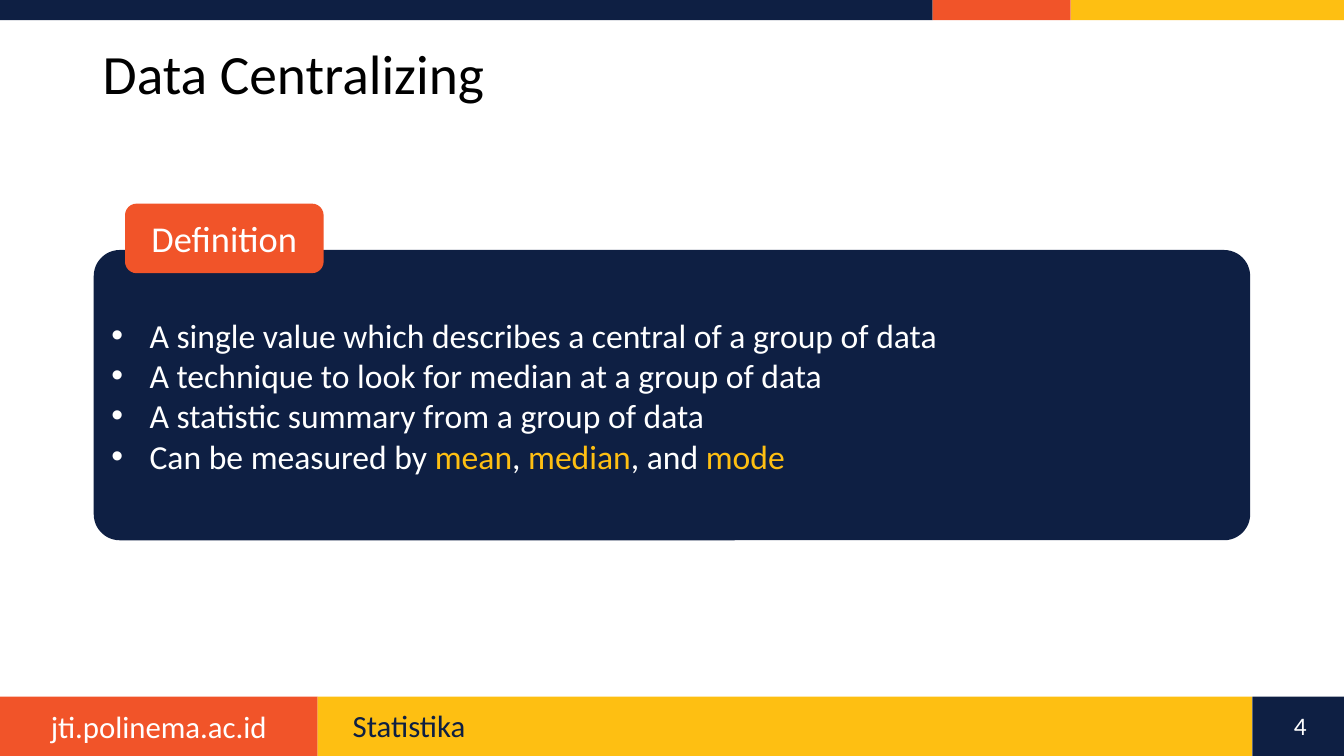
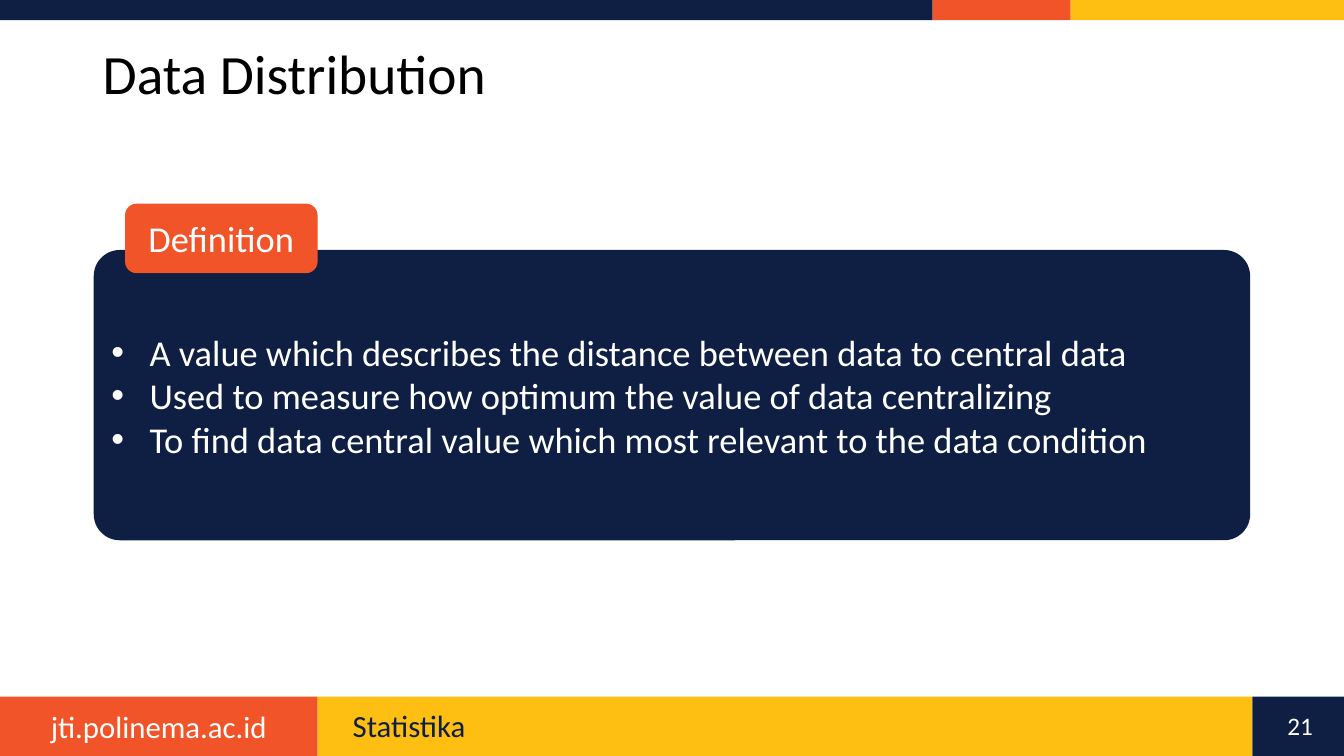
from pptx import Presentation
from pptx.dml.color import RGBColor
from pptx.enum.shapes import MSO_SHAPE
from pptx.enum.text import MSO_ANCHOR, PP_ALIGN
from pptx.oxml.ns import qn
from pptx.util import Inches, Pt
from lxml import etree

# Content: runs are (text, colour) pairs
SLIDES = [
    {
        "title": "Data Centralizing",
        "number": "4",
        "label": "Definition",
        "label_width": 1.97,
        "size": 24,
        "bullets": [
            [("A single value which describes a central of a group of data", "white")],
            [("A technique to look for median at a group of data", "white")],
            [("A statistic summary from a group of data", "white")],
            [("Can be measured by ", "white"), ("mean", "yellow"), (", ", "white"),
             ("median", "yellow"), (", and ", "white"), ("mode", "yellow")],
        ],
    },
    {
        "title": "Data Distribution",
        "number": "21",
        "label": "Definition",
        "label_width": 1.91,
        "size": 26,
        "bullets": [
            [("A value which describes the distance between data to central data", "white")],
            [("Used to measure how optimum the value of data centralizing", "white")],
            [("To find data central value which most relevant to the data condition", "white")],
        ],
    },
]
WEBSITE = "jti.polinema.ac.id"
COURSE = "Statistika"

# Shared style
COLORS = {"navy": "0E1F43", "orange": "F15429", "yellow": "FEBF12",
          "white": "FFFFFF", "black": "000000"}
FONT = "Calibri"
WIDTH, HEIGHT = 13.33, 7.5
BANDS = [  # top, height, (colour, right edge) from left to right
    (0, 0.2, [("navy", 9.25), ("orange", 10.62), ("yellow", WIDTH)]),
    (6.91, 0.59, [("orange", 3.15), ("yellow", 12.42), ("navy", WIDTH)]),
]
BULLET_INDENT = 0.38


def add_block(slide, kind, box, color):
    shape = slide.shapes.add_shape(kind, *map(Inches, box))
    shape.shadow.inherit = False
    shape.fill.solid()
    shape.fill.fore_color.rgb = RGBColor.from_string(COLORS[color])
    shape.line.fill.background()
    return shape


def set_bullet(paragraph):
    properties = paragraph._p.get_or_add_pPr()
    properties.set("marL", str(Inches(BULLET_INDENT)))
    properties.set("indent", str(-Inches(BULLET_INDENT)))
    etree.SubElement(properties, qn("a:buFont")).set("typeface", "Arial")
    etree.SubElement(properties, qn("a:buChar")).set("char", "•")


def write(shape, paragraphs, size, align=PP_ALIGN.LEFT, anchor=MSO_ANCHOR.TOP,
          spacing=None, bullets=False):
    frame = shape.text_frame
    frame.word_wrap = True
    frame.vertical_anchor = anchor
    for index, runs in enumerate(paragraphs):
        paragraph = frame.add_paragraph() if index else frame.paragraphs[0]
        if bullets:
            set_bullet(paragraph)
        paragraph.alignment = align
        if spacing:
            paragraph.line_spacing = spacing
        for text, color in runs:
            run = paragraph.add_run()
            run.text = text
            run.font.name = FONT
            run.font.size = Pt(size)
            run.font.color.rgb = RGBColor.from_string(COLORS[color])


def add_text(slide, box, text, color, size, **style):
    write(slide.shapes.add_textbox(*map(Inches, box)), [[(text, color)]], size, **style)


def add_frame(slide, title, number):
    # Colour bands at the top and bottom
    for top, height, segments in BANDS:
        left = 0
        for color, right in segments:
            add_block(slide, MSO_SHAPE.RECTANGLE, (left, top, right - left, height), color)
            left = right
    # Footer and title
    add_text(slide, (0, 6.97, 3.15, 0.47), WEBSITE, "white", 22, align=PP_ALIGN.CENTER)
    add_text(slide, (3.4, 7, 8.74, 0.4), COURSE, "navy", 22, spacing=0.9)
    add_text(slide, (12.59, 7, 0.61, 0.4), number, "white", 18, align=PP_ALIGN.CENTER)
    add_text(slide, (0.92, 0.4, 10.24, 0.71), title, "black", 39.6,
             anchor=MSO_ANCHOR.MIDDLE, spacing=0.9)


def add_definition(slide, content):
    panel = add_block(slide, MSO_SHAPE.ROUNDED_RECTANGLE, (0.93, 2.48, 11.47, 2.88), "navy")
    panel.adjustments[0] = 0.09
    write(panel, content["bullets"], content["size"], anchor=MSO_ANCHOR.MIDDLE, bullets=True)
    label = add_block(slide, MSO_SHAPE.ROUNDED_RECTANGLE,
                      (1.24, 2.02, content["label_width"], 0.69), "orange")
    write(label, [[(content["label"], "white")]], 26, PP_ALIGN.CENTER, MSO_ANCHOR.MIDDLE)


def main():
    presentation = Presentation()
    presentation.slide_width = Inches(WIDTH)
    presentation.slide_height = Inches(HEIGHT)
    for content in SLIDES:
        slide = presentation.slides.add_slide(presentation.slide_layouts[6])
        add_frame(slide, content["title"], content["number"])
        add_definition(slide, content)
    presentation.save("out.pptx")


if __name__ == "__main__":
    main()
